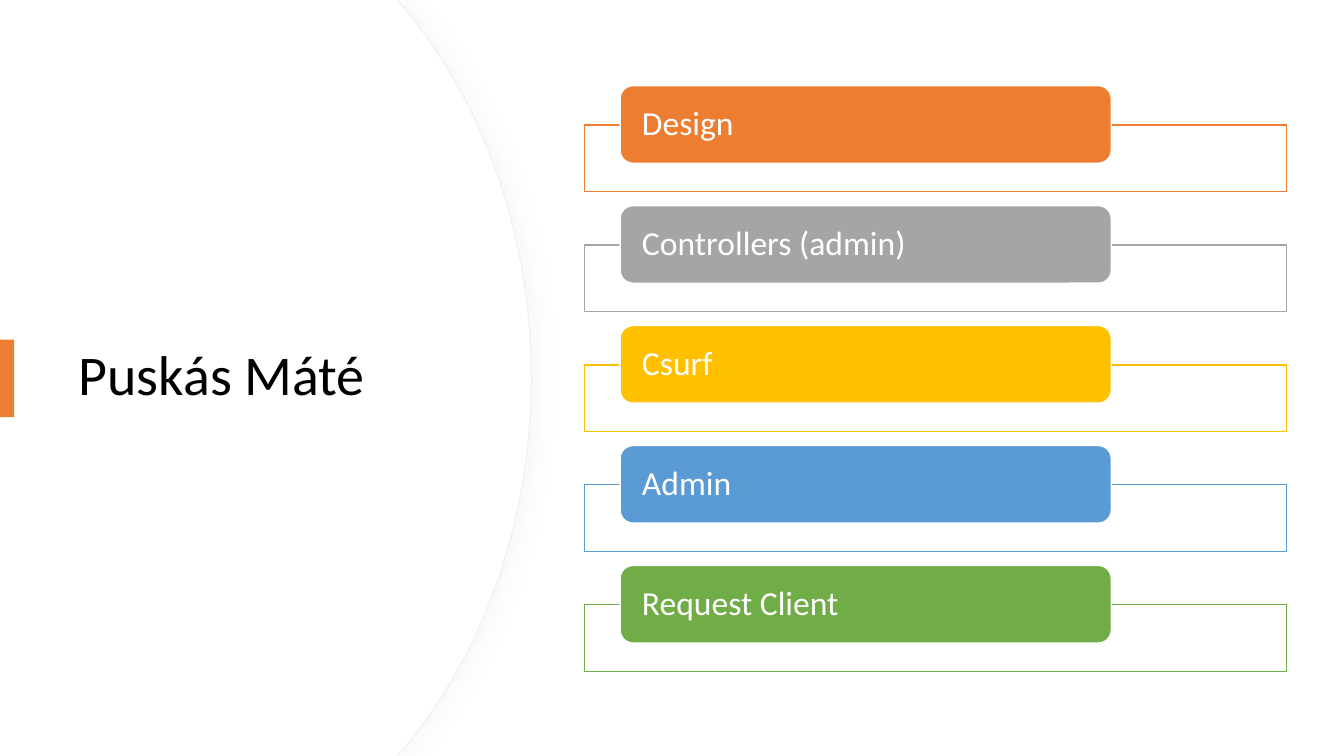
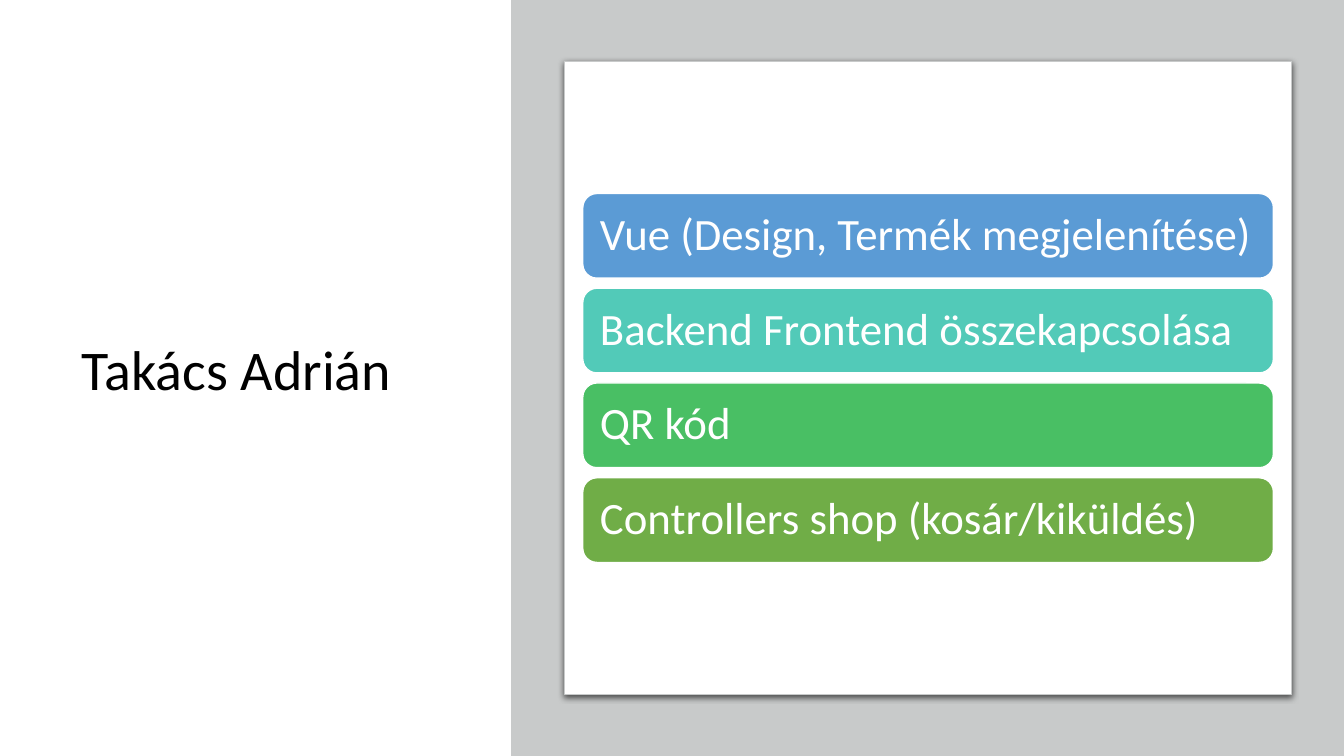
from lxml import etree
from pptx import Presentation
from pptx.dml.color import RGBColor
from pptx.enum.shapes import MSO_SHAPE as SHAPE
from pptx.enum.text import MSO_ANCHOR, PP_ALIGN
from pptx.oxml.ns import qn
from pptx.util import Inches, Pt

FONT = "Calibri"
BLACK = RGBColor(0x00, 0x00, 0x00)
WHITE = RGBColor(0xFF, 0xFF, 0xFF)
ORANGE = RGBColor(0xED, 0x7D, 0x31)
GRAY = RGBColor(0xA5, 0xA5, 0xA5)
GOLD = RGBColor(0xFF, 0xC0, 0x00)
BLUE = RGBColor(0x5B, 0x9B, 0xD5)
TEAL = RGBColor(0x52, 0xCA, 0xB8)
MINT = RGBColor(0x49, 0xBF, 0x64)
GREEN = RGBColor(0x70, 0xAD, 0x47)
BACKDROP = RGBColor(0xC8, 0xCA, 0xCA)
PALE = RGBColor(0xEF, 0xEF, 0xEF)
SHADE = RGBColor(0xD9, 0xD9, 0xD9)

SLIDE_W, SLIDE_H = 13.33, 7.5


def paint(sp, fill, line=None, width=1):
    """Give a shape a solid fill, an optional outline and no shadow."""
    sp.shadow.inherit = False
    sp.fill.solid()
    sp.fill.fore_color.rgb = fill
    if line is None:
        sp.line.fill.background()
    else:
        sp.line.color.rgb = line
        sp.line.width = Pt(width)
    return sp


def add_box(s, kind, box, fill, line=None, width=1):
    """Add a painted preset shape at box (left, top, width, height)."""
    return paint(s.shapes.add_shape(kind, *map(Inches, box)), fill, line, width)


def add_shadow(sp, color, alpha, blur, dist, angle):
    """Add an outer shadow: percent, points, points, degrees."""
    effects = sp.element.spPr.find(qn("a:effectLst"))
    shadow = etree.SubElement(
        effects, qn("a:outerShdw"), blurRad=str(Pt(blur)), dist=str(Pt(dist)),
        dir=str(angle * 60000), algn="ctr", rotWithShape="0")
    clr = etree.SubElement(shadow, qn("a:srgbClr"), val=str(color))
    etree.SubElement(clr, qn("a:alpha"), val=str(alpha * 1000))


def write(tf, text, size, color, margins):
    """Write one left-aligned, vertically centred line."""
    tf.text = text
    tf.word_wrap = True
    tf.vertical_anchor = MSO_ANCHOR.MIDDLE
    tf.margin_left = tf.margin_right = Inches(margins[0])
    tf.margin_top = tf.margin_bottom = Inches(margins[1])
    p = tf.paragraphs[0]
    p.alignment = PP_ALIGN.LEFT
    p.line_spacing = 0.9
    font = p.runs[0].font
    font.name, font.size, font.color.rgb = FONT, Pt(size), color


def add_title(s, text, box):
    """Place the title placeholder at box, in front of what is drawn."""
    title = s.shapes.title
    title.left, title.top, title.width, title.height = map(Inches, box)
    write(title.text_frame, text, 40, BLACK, (0.1, 0.05))
    s.shapes.element.append(title.element)


def add_label(s, text, box, color, size, margins):
    """Add a rounded bar with white text."""
    sp = add_box(s, SHAPE.ROUNDED_RECTANGLE, box, color, WHITE)
    write(sp.text_frame, text, size, WHITE, margins)


def bend(sp, first):
    """Turn three line segments, starting at index first, into one curve."""
    segments = list(sp.element.iter(qn("a:lnTo")))[first:first + 3]
    curve = etree.Element(qn("a:cubicBezTo"))
    segments[0].addprevious(curve)
    for segment in segments:
        curve.append(segment[0])
        segment.getparent().remove(segment)


def add_curved_panel(s, width, line=None):
    """Add a full-height white panel whose right edge bulges to width."""
    upper = [(width - 1.33, 0), (width - 1.26, 0.08), (width - 0.48, 1.02),
             (width, 2.32), (width, SLIDE_H / 2)]
    lower = [(x, SLIDE_H - y) for x, y in reversed(upper[:-1])]
    outline = upper + lower + [(0, SLIDE_H)]
    builder = s.shapes.build_freeform(0, 0)
    builder.add_line_segments([(Inches(x), Inches(y)) for x, y in outline])
    panel = builder.convert_to_shape()
    for first in (5, 2):
        bend(panel, first)
    return paint(panel, WHITE, line, 0.75)


def add_framed_list(s, box, items, pitch):
    """Stack outlined frames, each with a label over its top edge."""
    left, top, width, _ = box
    for i, (text, color) in enumerate(items):
        y = top + i * pitch
        add_box(s, SHAPE.RECTANGLE, (left, y + 0.39, width, 0.66), WHITE, color)
        add_label(s, text, (left + 0.35, y, width * 0.7, 0.77), color, 24, (0.18, 0))


def add_bar_list(s, box, items, gap):
    """Fill box with equal label bars."""
    left, top, width, height = box
    bar = (height - gap * (len(items) - 1)) / len(items)
    for i, (text, color) in enumerate(items):
        add_label(s, text, (left, top + i * (bar + gap), width, bar),
                  color, 32, (0.13, 0.13))


def new_slide(prs):
    """Add a title-only slide."""
    return prs.slides.add_slide(prs.slide_layouts[5])


def curved_slide(prs, title, items):
    """Build the slide with a curved title panel and framed list."""
    s = new_slide(prs)
    add_shadow(add_curved_panel(s, 5.27, PALE), SHADE, 20, 14, 5, 0)
    add_curved_panel(s, 5.26)
    add_title(s, title, (0.68, 1.27, 3.94, 4.95))
    add_box(s, SHAPE.RECTANGLE, (0, 3.37, 0.14, 0.77), ORANGE)
    add_framed_list(s, (5.8, 0.85, 6.96, 5.81), items, 1.19)


def card_slide(prs, title, items):
    """Build the slide with a bar list on a white card."""
    s = new_slide(prs)
    add_title(s, title, (0.71, 0.68, 4.01, 6.02))
    add_box(s, SHAPE.RECTANGLE, (5.07, 0, SLIDE_W - 5.07, SLIDE_H), BACKDROP)
    card = add_box(s, SHAPE.ROUNDED_RECTANGLE, (5.6, 0.61, 7.21, 6.28),
                   WHITE, BACKDROP, 0.75)
    card.adjustments[0] = 0
    add_shadow(card, BLACK, 63, 4.5, 1.5, 90)
    add_bar_list(s, (5.78, 1.92, 6.85, 3.66), items, 0.1)


def main():
    """Build and save the presentation."""
    prs = Presentation()
    prs.slide_width, prs.slide_height = Inches(SLIDE_W), Inches(SLIDE_H)
    curved_slide(prs, "Puskás Máté", [
        ("Design", ORANGE),
        ("Controllers (admin)", GRAY),
        ("Csurf", GOLD),
        ("Admin", BLUE),
        ("Request Client", GREEN),
    ])
    card_slide(prs, "Takács Adrián", [
        ("Vue (Design, Termék megjelenítése)", BLUE),
        ("Backend Frontend összekapcsolása", TEAL),
        ("QR kód", MINT),
        ("Controllers shop (kosár/kiküldés)", GREEN),
    ])
    prs.save("out.pptx")


if __name__ == "__main__":
    main()
